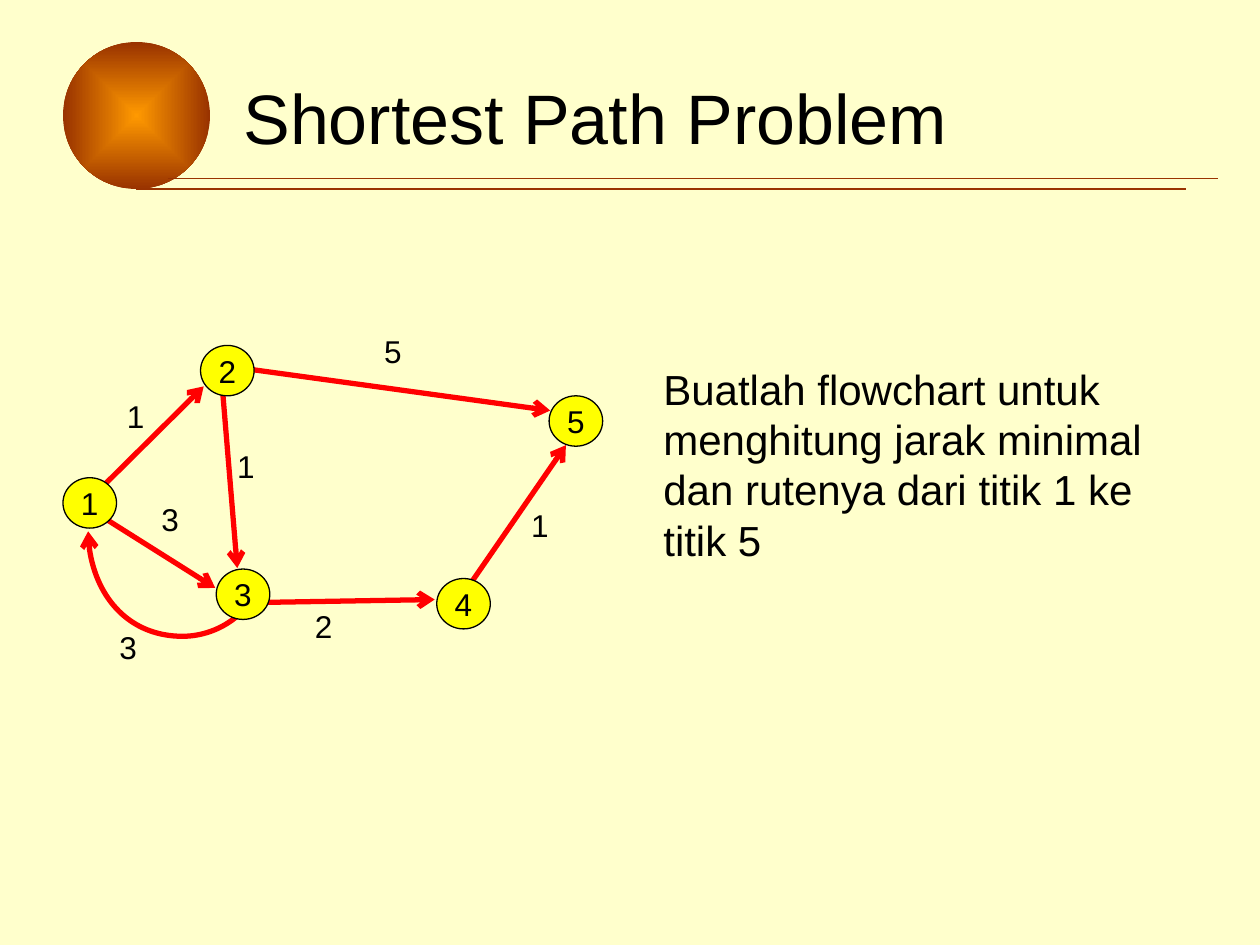
from lxml.etree import SubElement
from pptx import Presentation
from pptx.dml.color import RGBColor
from pptx.enum.shapes import MSO_CONNECTOR, MSO_SHAPE
from pptx.enum.text import MSO_ANCHOR, MSO_AUTO_SIZE, PP_ALIGN
from pptx.oxml.ns import qn
from pptx.util import Inches, Pt

CREAM = RGBColor(0xFF, 0xFF, 0xCC)
ORANGE = RGBColor(0xFF, 0x99, 0x00)
BROWN = RGBColor(0x99, 0x33, 0x00)
RED = RGBColor(0xFF, 0x00, 0x00)
YELLOW = RGBColor(0xFF, 0xFF, 0x00)
BLACK = RGBColor(0x00, 0x00, 0x00)

COLUMNS, ROWS = 120, 90
WIDTH, HEIGHT = Inches(10), Inches(7.5)

TITLE = ("Shortest Path Problem", (22, 3.6, 92, 15))
TASK = (
    "Buatlah flowchart untuk menghitung jarak minimal dan rutenya dari titik 1 ke titik 5",
    (62, 34, 51, 20.4),
)
BALL = (6, 4, 14, 14)
RULES = [((13, 18), (113, 18)), ((16, 17), (116, 17))]

NODE_SIZE = (5.1, 4.8)
NODES = {
    "1": (6, 45.5),
    "2": (19.1, 32.9),
    "3": (20.6, 54.2),
    "4": (41.6, 55.1),
    "5": (52.3, 37.7),
}
EDGES = [
    ((43.7, 57.2), (53.9, 42.4)),
    ((21.1, 34.8), (52.4, 39.1)),
    ((21, 34.8), (22.6, 54.1)),
    ((23.6, 57.4), (41.4, 57.1)),
    ((8.6, 48.5), (20.5, 56)),
    ((8.6, 47.5), (19.4, 36.8)),
]
RETURN_EDGE = [
    (8.4, 50.6),
    (8.4, 56.2), (12.4, 60.6), (17.4, 60.6),
    (19.4, 60.6), (21.5, 59.8), (23, 58.3),
]
DISTANCE_SIZE = (4.1, 4.8)
DISTANCES = [
    ("1", (10.9, 37.2)),
    ("1", (21.4, 42)),
    ("3", (14.2, 47)),
    ("3", (10.2, 59.2)),
    ("5", (35.4, 31)),
    ("2", (28.8, 57.2)),
    ("1", (49.4, 47.6)),
]


def place(*cells):
    steps = (WIDTH / COLUMNS, HEIGHT / ROWS)
    return [round(cell * steps[i % 2]) for i, cell in enumerate(cells)]


def write(shape, text, size=18, wrap=False, align=PP_ALIGN.LEFT,
          anchor=MSO_ANCHOR.TOP, fit=MSO_AUTO_SIZE.NONE):
    frame = shape.text_frame
    frame.word_wrap = wrap
    frame.auto_size = fit
    frame.vertical_anchor = anchor
    paragraph = frame.paragraphs[0]
    paragraph.alignment = align
    run = paragraph.add_run()
    run.text = text
    run.font.name = "Arial"
    run.font.size = Pt(size)
    run.font.color.rgb = BLACK


def add_text(shapes, text, box, **style):
    write(shapes.add_textbox(*place(*box)), text, **style)


def stroke(line, color, width, arrow_end=None):
    line.color.rgb = color
    line.width = Pt(width)
    if arrow_end:
        SubElement(line._get_or_add_ln(), qn(arrow_end), type="arrow")


def add_line(shapes, start, end, color, width, arrow_end=None):
    connector = shapes.add_connector(MSO_CONNECTOR.STRAIGHT, *place(*start, *end))
    stroke(connector.line, color, width, arrow_end)
    SubElement(connector._element.spPr, qn("a:effectLst"))


def add_ellipse(shapes, box):
    ellipse = shapes.add_shape(MSO_SHAPE.OVAL, *place(*box))
    ellipse.shadow.inherit = False
    return ellipse


def add_ball(shapes):
    ball = add_ellipse(shapes, BALL)
    ball.line.fill.background()
    ball.fill.gradient()
    for stop, color in zip(ball.fill.gradient_stops, (ORANGE, BROWN)):
        stop.color.rgb = color
    gradient = ball._element.spPr.find(qn("a:gradFill"))
    gradient.remove(gradient.find(qn("a:lin")))
    center = SubElement(gradient, qn("a:path"), path="rect")
    SubElement(center, qn("a:fillToRect"), l="50000", t="50000", r="50000", b="50000")


def add_return_edge(shapes):
    points = [place(*point) for point in RETURN_EDGE]
    builder = shapes.build_freeform(*points[0])
    builder.add_line_segments(points[1:], close=False)
    curve = builder.convert_to_shape()
    segments = list(curve._element.iter(qn("a:lnTo")))
    outline = segments[0].getparent()
    for first in range(0, len(segments), 3):
        bezier = SubElement(outline, qn("a:cubicBezTo"))
        for segment in segments[first:first + 3]:
            bezier.append(segment[0])
            outline.remove(segment)
    curve.shadow.inherit = False
    curve.fill.background()
    stroke(curve.line, RED, 3, "a:headEnd")


def main():
    deck = Presentation()
    deck.slide_width, deck.slide_height = WIDTH, HEIGHT
    slide = deck.slides.add_slide(deck.slide_layouts[6])
    slide.background.fill.solid()
    slide.background.fill.fore_color.rgb = CREAM
    shapes = slide.shapes

    add_ball(shapes)
    for start, end in RULES:
        add_line(shapes, start, end, BROWN, 0.75)
    add_text(shapes, *TITLE, size=40, wrap=True, anchor=MSO_ANCHOR.MIDDLE)

    add_return_edge(shapes)
    for start, end in EDGES:
        add_line(shapes, start, end, RED, 3, "a:tailEnd")
    for number, corner in NODES.items():
        node = add_ellipse(shapes, corner + NODE_SIZE)
        node.fill.solid()
        node.fill.fore_color.rgb = YELLOW
        stroke(node.line, BLACK, 0.75)
        write(node, number, align=PP_ALIGN.CENTER, anchor=MSO_ANCHOR.MIDDLE)
    for distance, corner in DISTANCES:
        add_text(shapes, distance, corner + DISTANCE_SIZE,
                 fit=MSO_AUTO_SIZE.SHAPE_TO_FIT_TEXT)
    add_text(shapes, *TASK, size=24, wrap=True, fit=MSO_AUTO_SIZE.SHAPE_TO_FIT_TEXT)

    deck.save("out.pptx")


if __name__ == "__main__":
    main()
